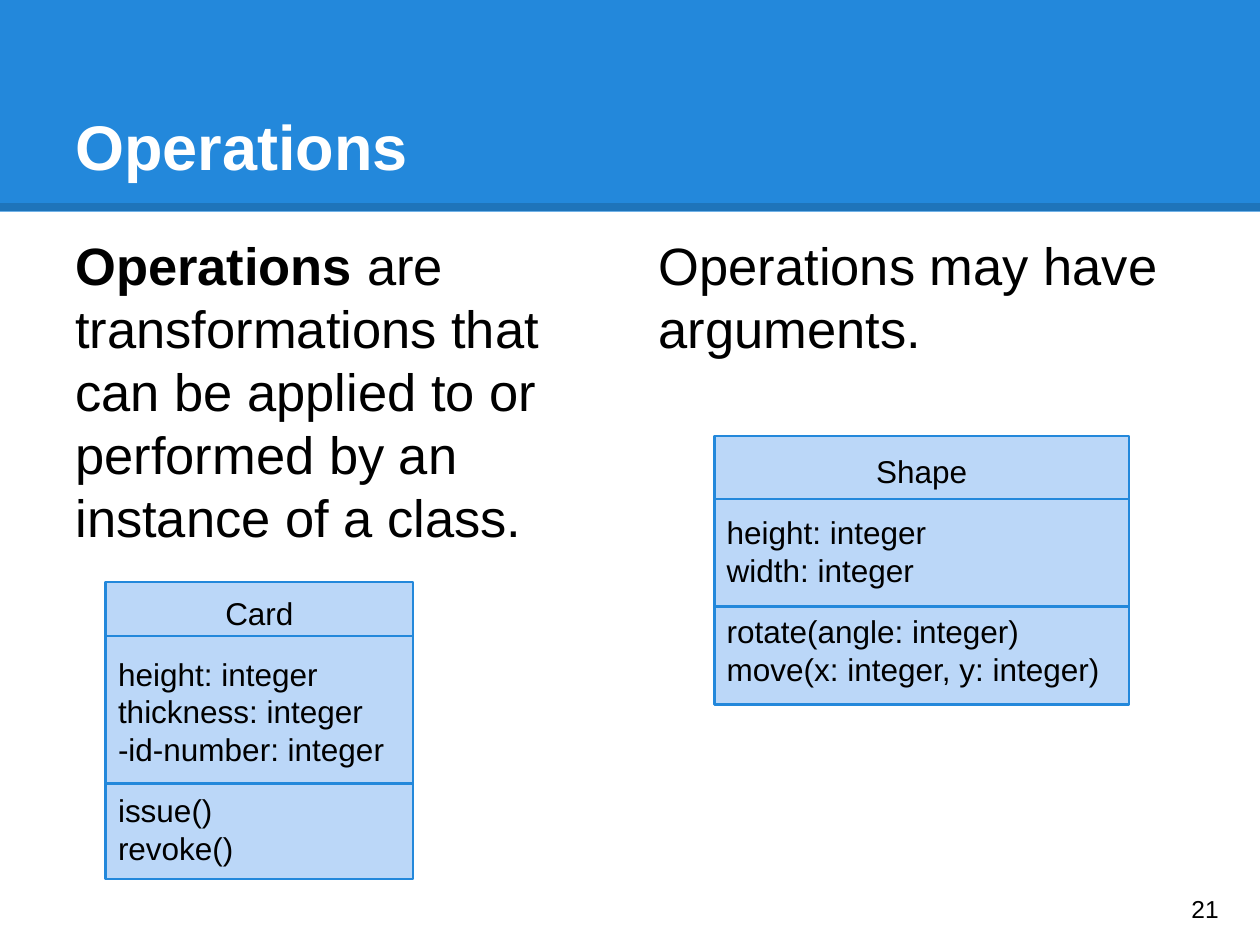
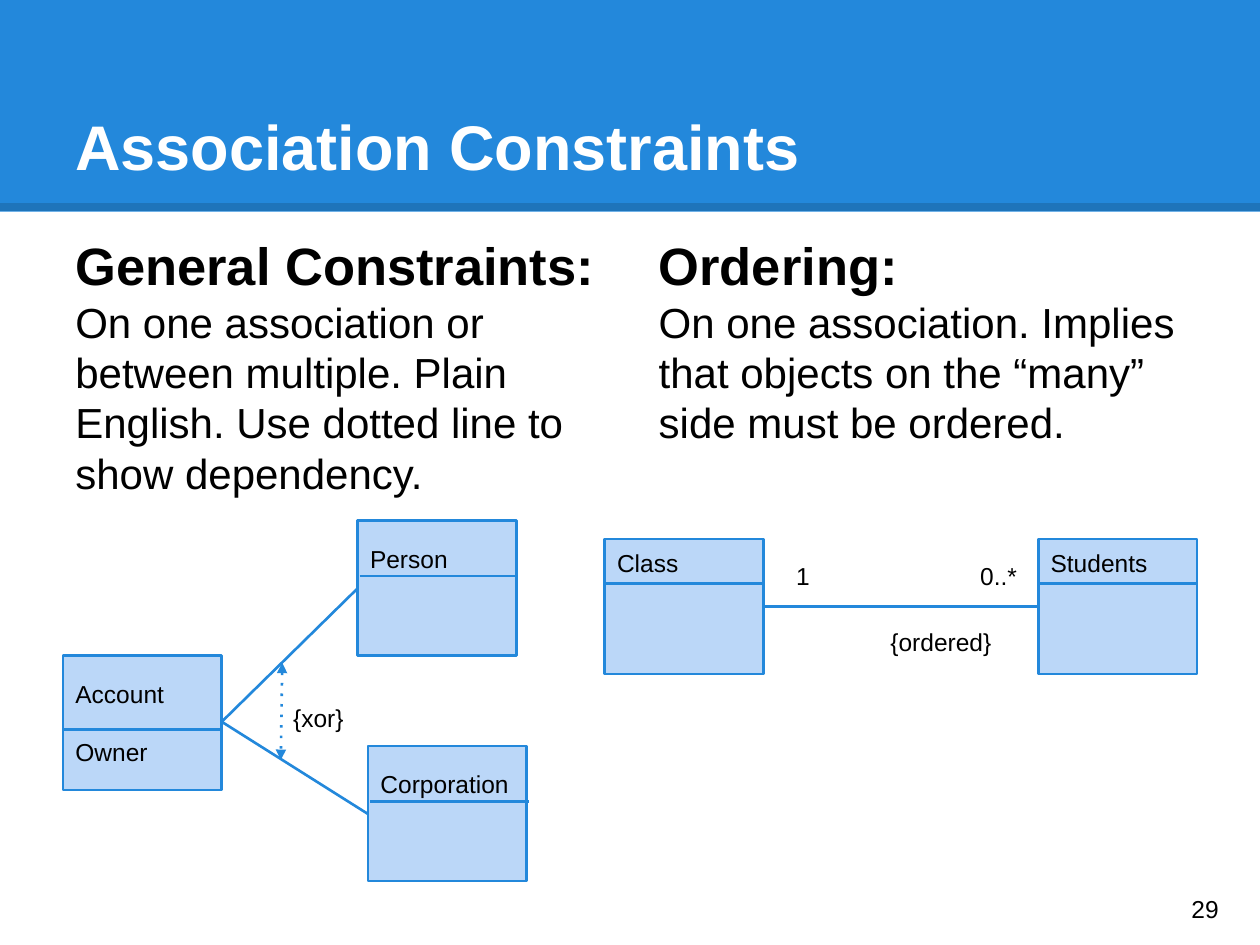
from dataclasses import dataclass

from lxml import etree
from pptx import Presentation
from pptx.dml import color as dml
from pptx.enum import shapes, text
from pptx.oxml import ns
from pptx.util import Cm, Pt

FONT = "Arial"
BLUE, DARK_BLUE, PALE_BLUE = "2388DB", "1E74BA", "BBD7F8"
BLACK, WHITE = "000000", "FFFFFF"
SLIDE_WIDTH, SLIDE_HEIGHT = 25.4, 19.05
MARGIN = 0.25
LINE_HEIGHT = 1.2
COLUMN_LEFTS = (1.27, 13.03)
COLUMN_TOP, COLUMN_WIDTH, COLUMN_HEIGHT = 4.45, 11.1, 5.0


@dataclass(frozen=True)
class Words:
    content: str
    size: float
    bold: bool = False
    joined: bool = False


@dataclass(frozen=True)
class ClassBox:
    left: float
    top: float
    sections: tuple[tuple[str, ...], ...]
    dividers: tuple[float, ...]
    inset: float
    width: float = 3.2
    height: float = 2.72
    size: float = 14
    gap: float = 16.8
    centred_name: bool = False
    divider_shift: float = 0


@dataclass(frozen=True)
class Link:
    start: tuple[float, float]
    end: tuple[float, float]
    dependency: bool = False


@dataclass(frozen=True)
class Label:
    content: str
    left: float
    top: float
    width: float


@dataclass(frozen=True)
class Page:
    title: str
    number: int
    columns: tuple[tuple[Words, ...], ...]
    boxes: tuple[ClassBox, ...]
    links: tuple[Link, ...] = ()
    labels: tuple[Label, ...] = ()


def rgb(value: str) -> dml.RGBColor:
    return dml.RGBColor.from_string(value)


def add_words(frame, content: str, *, size: float, bold: bool = False, color: str = BLACK,
              align=text.PP_ALIGN.LEFT, space_before: float = 0, joined: bool = False) -> None:
    paragraph = frame.paragraphs[-1]
    if paragraph.runs and not joined:
        paragraph = frame.add_paragraph()
    if not joined:
        paragraph.alignment = align
        paragraph.line_spacing = Pt(size * LINE_HEIGHT)
        paragraph.space_before = Pt(space_before)
    run = paragraph.add_run()
    run.text = content
    run.font.name = FONT
    run.font.size = Pt(size)
    run.font.bold = bold
    run.font.color.rgb = rgb(color)


def prepare_frame(frame, anchor, inset: float = MARGIN) -> None:
    frame.word_wrap = True
    frame.vertical_anchor = anchor
    frame.margin_left = frame.margin_right = frame.margin_bottom = Cm(MARGIN)
    frame.margin_top = Cm(inset)


def add_text_area(slide, left: float, top: float, width: float, height: float,
                  anchor=text.MSO_ANCHOR.TOP):
    frame = slide.shapes.add_textbox(Cm(left), Cm(top), Cm(width), Cm(height)).text_frame
    prepare_frame(frame, anchor)
    return frame


def add_rectangle(slide, left: float, top: float, width: float, height: float, fill: str):
    shape = slide.shapes.add_shape(
        shapes.MSO_SHAPE.RECTANGLE, Cm(left), Cm(top), Cm(width), Cm(height))
    shape.shadow.inherit = False
    shape.fill.solid()
    shape.fill.fore_color.rgb = rgb(fill)
    shape.line.fill.background()
    return shape


def add_line(slide, start: tuple[float, float], end: tuple[float, float],
             color: str = BLUE, weight: float = 1.5):
    connector = slide.shapes.add_connector(
        shapes.MSO_CONNECTOR.STRAIGHT, *(Cm(value) for value in (*start, *end)))
    connector.line.color.rgb = rgb(color)
    connector.line.width = Pt(weight)
    etree.SubElement(connector._element.spPr, ns.qn("a:effectLst"))
    return connector


def add_link(slide, link: Link) -> None:
    connector = add_line(slide, link.start, link.end)
    if link.dependency:
        outline = connector.line._get_or_add_ln()
        etree.SubElement(outline, ns.qn("a:prstDash"), val="dot")
        for tag in ("a:headEnd", "a:tailEnd"):
            etree.SubElement(outline, ns.qn(tag), type="triangle")


def add_class_box(slide, box: ClassBox) -> None:
    shape = add_rectangle(slide, box.left, box.top, box.width, box.height, PALE_BLUE)
    shape.line.color.rgb = rgb(BLUE)
    shape.line.width = Pt(1.5)
    frame = shape.text_frame
    prepare_frame(frame, text.MSO_ANCHOR.TOP, box.inset)
    for section_index, section in enumerate(box.sections):
        centred = box.centred_name and section_index == 0
        for row, content in enumerate(section):
            add_words(frame, content, size=box.size,
                      align=text.PP_ALIGN.CENTER if centred else text.PP_ALIGN.LEFT,
                      space_before=box.gap if section_index and row == 0 else 0)
    left = box.left + box.divider_shift
    for offset in box.dividers:
        height = box.top + offset
        add_line(slide, (left, height), (left + box.width, height))


def add_page(presentation, page: Page) -> None:
    slide = presentation.slides.add_slide(presentation.slide_layouts[6])
    add_rectangle(slide, 0, 0, SLIDE_WIDTH, 4.27, BLUE)
    add_line(slide, (0, 4.17), (SLIDE_WIDTH, 4.17), DARK_BLUE, 4.5)
    title = add_text_area(slide, 1.27, 0.76, 22.86, 3.18, text.MSO_ANCHOR.BOTTOM)
    add_words(title, page.title, size=36, bold=True, color=WHITE)
    for left, column in zip(COLUMN_LEFTS, page.columns):
        body = add_text_area(slide, left, COLUMN_TOP, COLUMN_WIDTH, COLUMN_HEIGHT)
        for words in column:
            add_words(body, words.content, size=words.size, bold=words.bold, joined=words.joined)
    for box in page.boxes:
        add_class_box(slide, box)
    for link in page.links:
        add_link(slide, link)
    for label in page.labels:
        frame = add_text_area(slide, label.left, label.top, label.width, 1.1)
        add_words(frame, label.content, size=14)
    number = add_text_area(slide, 23.77, 17.6, 1.52, 1.45, text.MSO_ANCHOR.MIDDLE)
    add_words(number, str(page.number), size=14)


OPERATIONS = Page(
    title="Operations",
    number=21,
    columns=(
        (Words("Operations", 30, bold=True),
         Words(" are transformations that can be applied to or performed by an instance "
               "of a class.", 30, joined=True)),
        (Words("Operations may have arguments.", 30),),
    ),
    boxes=(
        ClassBox(2.13, 11.73,
                 (("Card",),
                  ("height: integer", "thickness: integer", "-id-number: integer"),
                  ("issue()", "revoke()")),
                 dividers=(1.09, 4.06), inset=0.24, width=6.2, height=5.99,
                 size=18, gap=13.2, centred_name=True),
        ClassBox(14.4, 8.79,
                 (("Shape",),
                  ("height: integer", "width: integer"),
                  ("rotate(angle: integer)", "move(x: integer, y: integer)")),
                 dividers=(1.27, 3.43), inset=0.33, width=8.36, height=5.41,
                 size=18, gap=13.2, centred_name=True),
    ),
)

ACCOUNT_EDGE = (4.47, 14.55)
CONSTRAINTS = Page(
    title="Association Constraints",
    number=29,
    columns=(
        (Words("General Constraints:", 30, bold=True),
         Words("On one association or between multiple. Plain English. Use dotted line to "
               "show dependency.", 24)),
        (Words("Ordering:", 30, bold=True),
         Words("On one association. Implies that objects on the “many” side must be "
               "ordered.", 24)),
    ),
    boxes=(
        ClassBox(12.19, 10.87, (("Class",),), dividers=(0.89,), inset=0.18),
        ClassBox(20.93, 10.87, (("Students",),), dividers=(0.89,), inset=0.18),
        ClassBox(1.27, 13.21, (("Account",), ("Owner",)), dividers=(1.5,), inset=0.47),
        ClassBox(7.21, 10.49, (("Person",),), dividers=(1.12,), inset=0.47, divider_shift=0.04),
        ClassBox(7.42, 15.04, (("Corporation",),), dividers=(1.12,), inset=0.47,
                 divider_shift=0.04),
    ),
    links=(
        Link((15.39, 12.22), (20.93, 12.22)),
        Link(ACCOUNT_EDGE, (7.21, 11.86)),
        Link(ACCOUNT_EDGE, (7.42, 16.41)),
        Link((5.69, 13.36), (5.66, 15.32), dependency=True),
    ),
    labels=(
        Label("1", 15.8, 11.07, 1.0),
        Label("0..*", 19.51, 11.07, 1.4),
        Label("{ordered}", 17.7, 12.4, 2.84),
        Label("{xor}", 5.66, 13.92, 2.39),
    ),
)


def main() -> None:
    presentation = Presentation()
    presentation.slide_width = Cm(SLIDE_WIDTH)
    presentation.slide_height = Cm(SLIDE_HEIGHT)
    for page in (OPERATIONS, CONSTRAINTS):
        add_page(presentation, page)
    presentation.save("out.pptx")


if __name__ == "__main__":
    main()
